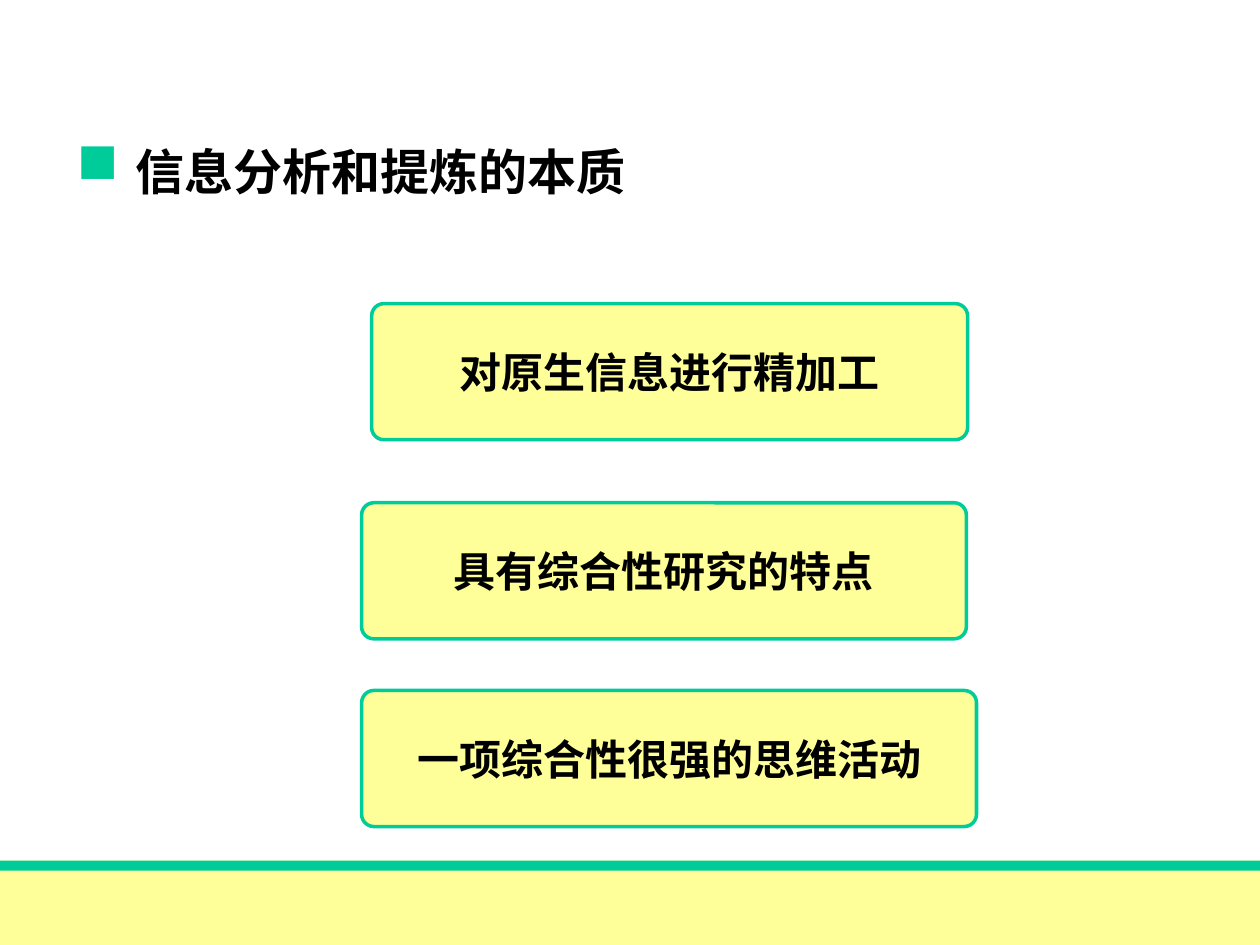
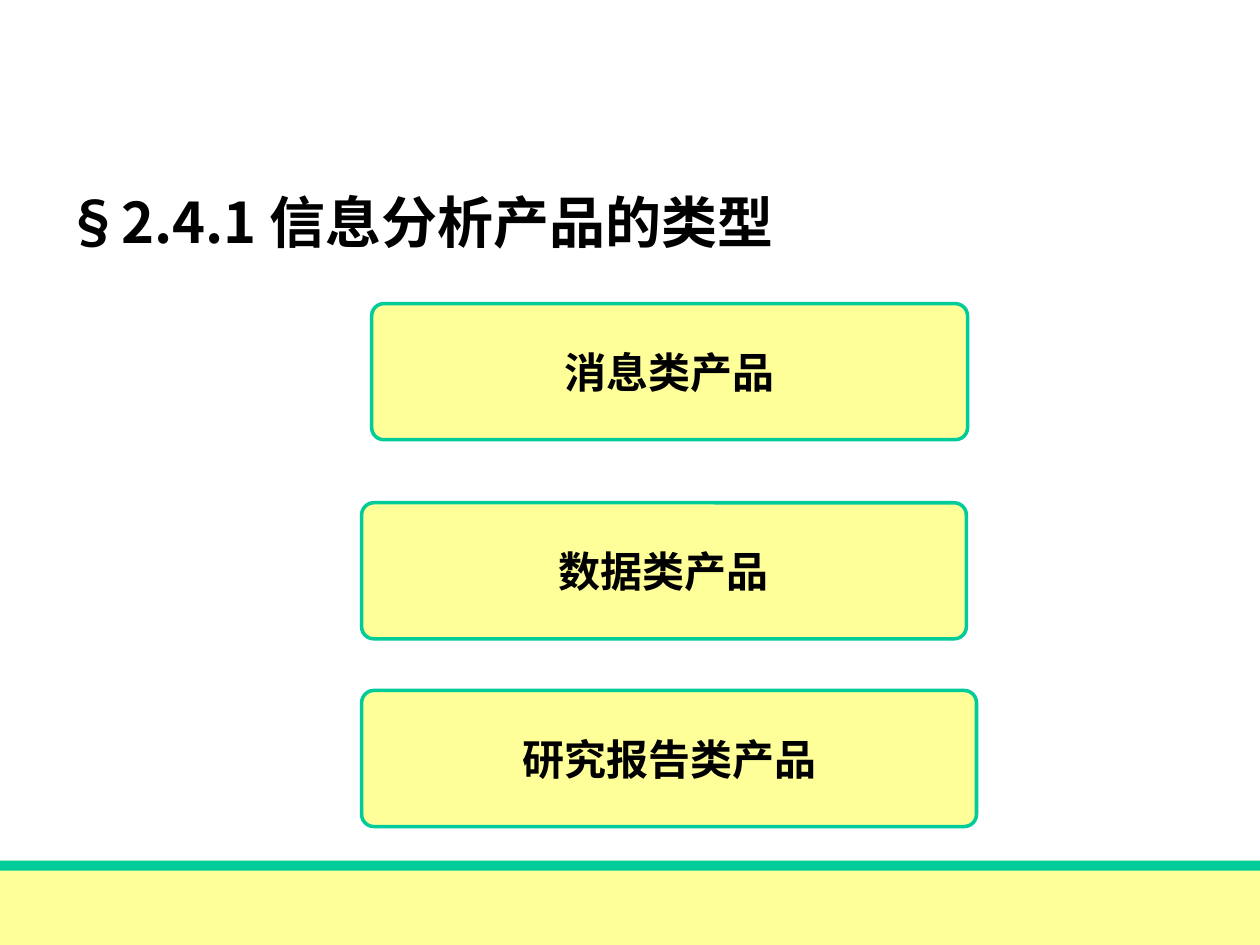
from dataclasses import dataclass

from lxml.etree import SubElement
from pptx import Presentation
from pptx.dml.color import RGBColor as Color
from pptx.enum.shapes import MSO_SHAPE as Shape
from pptx.enum.text import MSO_ANCHOR as Anchor, PP_ALIGN as Align
from pptx.oxml.ns import qn
from pptx.util import Inches, Pt


@dataclass(frozen=True)
class Theme:
    ink: str = "000000"
    pale: str = "FFFF99"
    accent: str = "00CC99"
    serif: str = "Times New Roman"
    sans: str = "Noto Sans CJK SC"
    card_size: int = 24
    topic_size: int = 28
    section_size: int = 32
    outline: int = 2


COLUMNS, ROWS = 100, 75
CELL = 0.1
CARD_HEIGHT = 10.8
CARD_PLACES = [(29.5, 24.1, 47.3), (28.7, 39.9, 48), (28.7, 54.8, 48.8)]
FOOTER_TOP = 68.3


def write(frame, text, size, font, color, align=Align.LEFT, anchor=Anchor.TOP,
          wrap=True, hanging=0, bullet_color=None, line_spacing=None):
    frame.word_wrap = wrap
    frame.vertical_anchor = anchor
    paragraph = frame.paragraphs[0]
    properties = paragraph._p.get_or_add_pPr()
    if hanging:
        properties.set("marL", str(Inches(hanging)))
        properties.set("indent", str(-Inches(hanging)))
    if bullet_color:
        tint = SubElement(properties, qn("a:buClr"))
        SubElement(tint, qn("a:srgbClr"), val=bullet_color)
        SubElement(properties, qn("a:buSzPct"), val="115000")
        SubElement(properties, qn("a:buChar"), char="■")
    paragraph.alignment = align
    if line_spacing:
        paragraph.line_spacing = line_spacing
    run = paragraph.add_run()
    run.text = text
    run.font.size = Pt(size)
    run.font.bold = True
    run.font.name = font
    run.font.color.rgb = Color.from_string(color)
    SubElement(run._r.get_or_add_rPr(), qn("a:ea"), typeface=Theme.sans)


class Deck:
    def __init__(self, theme):
        self.theme = theme
        self.presentation = Presentation()
        self.presentation.slide_width = Inches(COLUMNS * CELL)
        self.presentation.slide_height = Inches(ROWS * CELL)
        self.slide = None

    def place(self, *cells):
        return [Inches(cell * CELL) for cell in cells]

    def new_slide(self):
        self.slide = self.presentation.slides.add_slide(
            self.presentation.slide_layouts[6])
        self.block(Shape.RECTANGLE, 0, FOOTER_TOP, COLUMNS,
                   ROWS - FOOTER_TOP, self.theme.pale)
        self.block(Shape.RECTANGLE, 0, FOOTER_TOP, COLUMNS, 0.8,
                   self.theme.accent)

    def block(self, preset, left, top, width, height, fill):
        block = self.slide.shapes.add_shape(
            preset, *self.place(left, top, width, height))
        block.shadow.inherit = False
        block.fill.solid()
        block.fill.fore_color.rgb = Color.from_string(fill)
        block.line.fill.background()
        return block

    def card(self, text, left, top, width):
        theme = self.theme
        card = self.block(Shape.ROUNDED_RECTANGLE, left, top, width,
                          CARD_HEIGHT, theme.pale)
        card.adjustments[0] = 0.09
        card.line.color.rgb = Color.from_string(theme.accent)
        card.line.width = Pt(theme.outline)
        write(card.text_frame, text, theme.card_size, theme.serif, theme.ink,
              align=Align.CENTER, anchor=Anchor.MIDDLE, wrap=False)

    def cards(self, texts):
        for text, position in zip(texts, CARD_PLACES):
            self.card(text, *position)

    def heading(self, text, left, top, width, height, size, font, **layout):
        box = self.slide.shapes.add_textbox(
            *self.place(left, top, width, height))
        write(box.text_frame, text, size, font, self.theme.ink, **layout)

    def topic(self, text):
        self.heading(text, 5.1, 10.7, 73.3, 7.1, self.theme.topic_size,
                     self.theme.serif, hanging=0.47,
                     bullet_color=self.theme.accent)

    def section(self, text):
        self.heading(text, 4.2, 15, 89.9, 6.8, self.theme.section_size,
                     self.theme.sans, hanging=0.67, line_spacing=0.9)


def main():
    deck = Deck(Theme())

    deck.new_slide()
    deck.cards(["对原生信息进行精加工", "具有综合性研究的特点",
                "一项综合性很强的思维活动"])
    deck.topic("信息分析和提炼的本质")

    deck.new_slide()
    deck.cards(["消息类产品", "数据类产品", "研究报告类产品"])
    deck.section("§2.4.1 信息分析产品的类型")

    deck.presentation.save("out.pptx")


if __name__ == "__main__":
    main()
